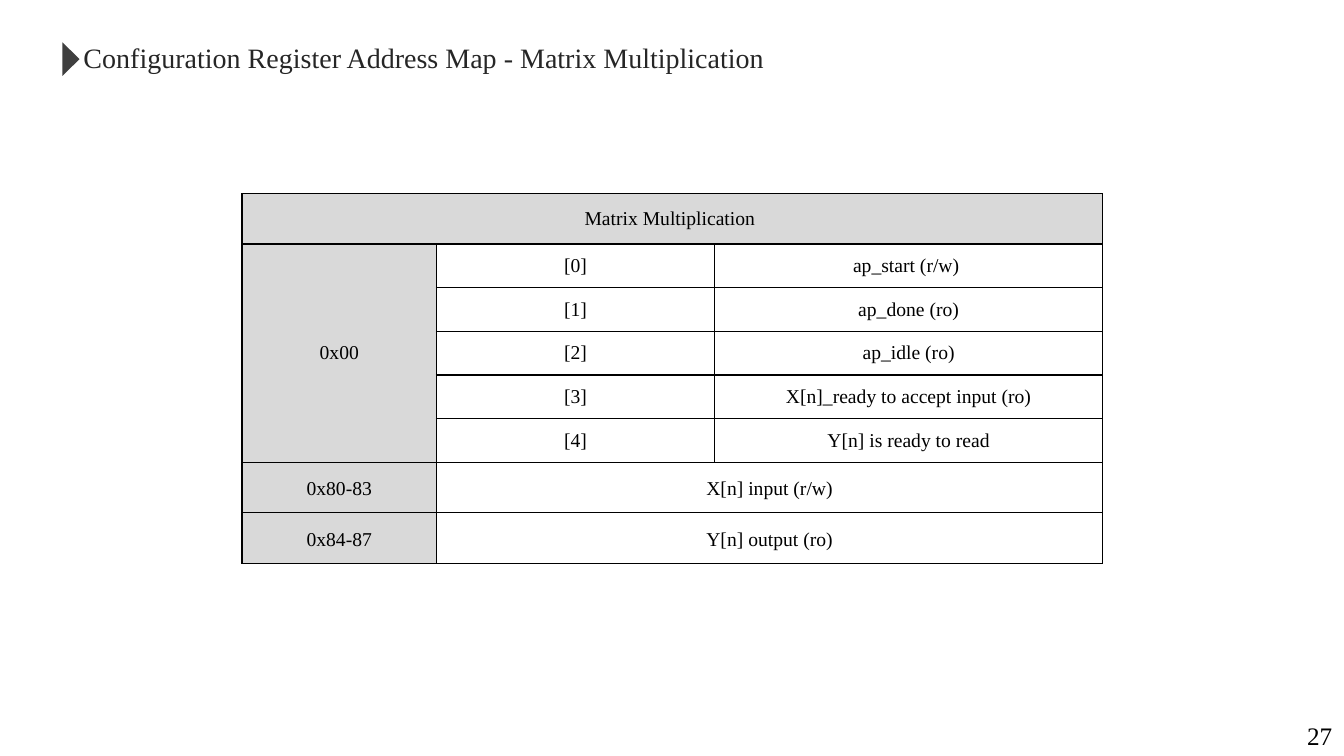
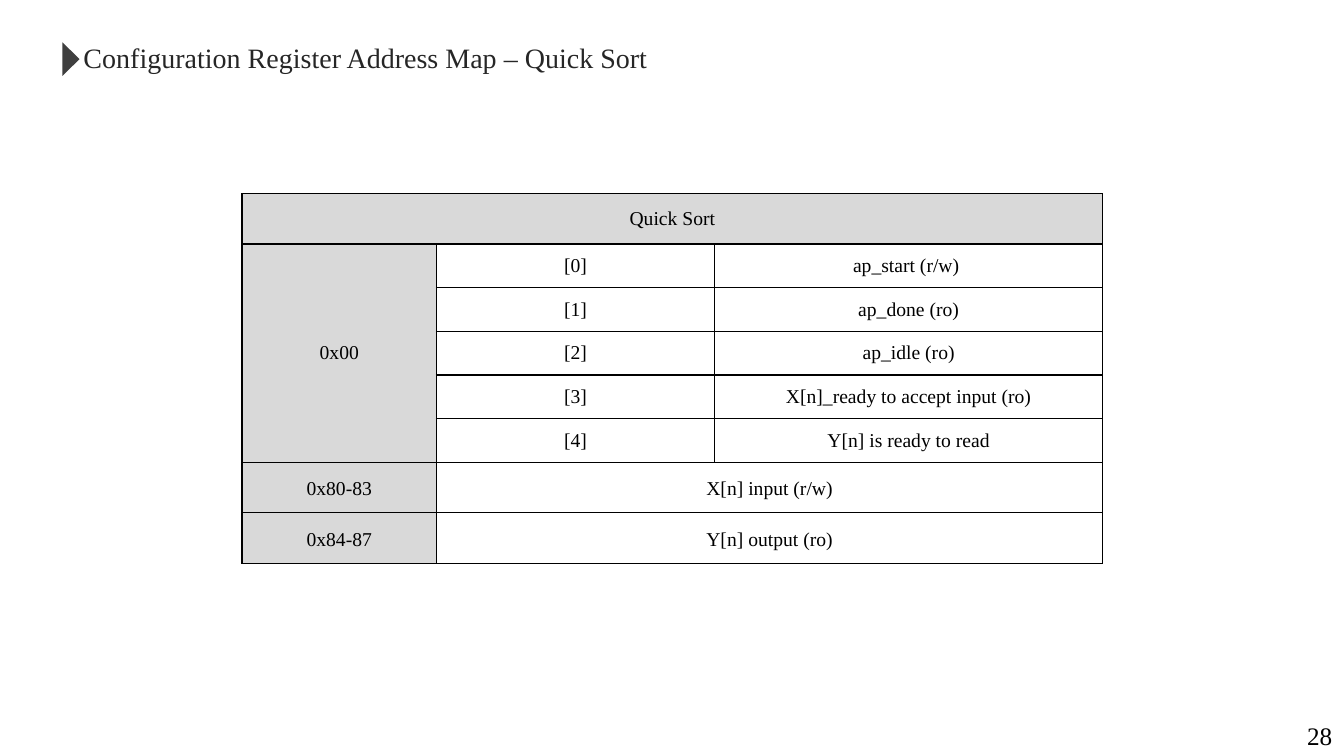
from lxml import etree
from pptx import Presentation
from pptx import util as u
from pptx.dml.color import RGBColor
from pptx.enum import shapes, text
from pptx.oxml.ns import qn

COLORS = {"title": "262626", "marker": "3F3F3F", "ink": "000000", "header": "D9D9D9"}
FONT = "Times New Roman"
TITLE_BOX = (u.Cm(1.85), u.Cm(0.89), u.Cm(18), u.Cm(1.12))
PAGE_BOX = (u.Cm(32.66), u.Cm(18.03), u.Cm(1.2), u.Cm(1.02))
MAP_BOX = (u.Cm(6.1), u.Cm(4.88), u.Cm(21.69), u.Cm(9.31))
COLUMN_WIDTHS = (4.9, 7.01, 9.78)
ROW_HEIGHTS = (1.27,) + (1.1,) * 5 + (1.27,) * 2
CELL_FORMAT = {
    "margin_left": u.Cm(0.18), "margin_right": u.Cm(0.18),
    "margin_top": 0, "margin_bottom": 0,
    "vertical_anchor": text.MSO_ANCHOR.MIDDLE,
}
MERGES = (((0, 0), (0, 2)), ((1, 0), (5, 0)), ((6, 1), (6, 2)), ((7, 1), (7, 2)))
REGISTERS = (
    ("0x00", "[0]", "ap_start (r/w) "),
    ("", "[1]", "ap_done (ro)"),
    ("", "[2]", "ap_idle (ro)"),
    ("", "[3]", "X[n]_ready to accept input (ro)"),
    ("", "[4]", "Y[n] is ready to read"),
    ("0x80-83", "X[n] input (r/w)", ""),
    ("0x84-87", "Y[n] output (ro)", ""),
)
SLIDES = (
    ("Configuration Register Address Map - Matrix Multiplication",
     "Matrix Multiplication ", 27),
    ("Configuration Register Address Map – Quick Sort", "Quick Sort", 28),
)


def apply_format(target, values):
    """Set each named attribute on the target."""
    for name, value in values.items():
        setattr(target, name, value)


def write(paragraph, words, size, color, align):
    """Fill a paragraph with styled words."""
    paragraph.text = words
    paragraph.alignment = align
    apply_format(paragraph.font, {"name": FONT, "size": u.Pt(size)})
    paragraph.font.color.rgb = RGBColor.from_string(COLORS[color])


def add_heading(slide, box, words):
    """Place the title with its pointer at the left edge."""
    left, top, width, height = box
    title = slide.shapes.title
    apply_format(title, {"left": left, "top": top, "width": width, "height": height})
    apply_format(title.text_frame, {"word_wrap": True,
                                    "auto_size": text.MSO_AUTO_SIZE.NONE,
                                    "vertical_anchor": text.MSO_ANCHOR.MIDDLE})
    write(title.text_frame.paragraphs[0], words, 20, "title", text.PP_ALIGN.LEFT)
    base, depth = u.Cm(0.84), u.Cm(0.43)
    pointer = slide.shapes.add_shape(
        shapes.MSO_SHAPE.ISOSCELES_TRIANGLE,
        left - u.Cm(0.48), top + height // 2 + u.Cm(0.04) - depth // 2, base, depth)
    pointer.rotation = 90
    pointer.shadow.inherit = False
    pointer.fill.solid()
    pointer.fill.fore_color.rgb = RGBColor.from_string(COLORS["marker"])
    pointer.line.fill.background()


def add_page_number(slide, box, number):
    """Place the page number in its corner box."""
    frame = slide.shapes.add_textbox(*box).text_frame
    frame.word_wrap = True
    write(frame.paragraphs[0], str(number), 18, "ink", text.PP_ALIGN.CENTER)


def add_borders(cell):
    """Draw a thin line on all four sides of a cell."""
    properties = cell._tc.get_or_add_tcPr()
    for side in ("a:lnL", "a:lnR", "a:lnT", "a:lnB"):
        line = etree.SubElement(properties, qn(side), w=str(u.Pt(1)))
        fill = etree.SubElement(line, qn("a:solidFill"))
        etree.SubElement(fill, qn("a:srgbClr"), val=COLORS["ink"])


def add_register_map(slide, box, heading):
    """Place the address table under its heading row."""
    rows = ((heading, "", ""),) + REGISTERS
    table = slide.shapes.add_table(len(rows), len(COLUMN_WIDTHS), *box).table
    apply_format(table, {"first_row": False, "horz_banding": False})
    for column, width in zip(table.columns, COLUMN_WIDTHS):
        column.width = u.Cm(width)
    for r, (row, height) in enumerate(zip(rows, ROW_HEIGHTS)):
        table.rows[r].height = u.Cm(height)
        for c, words in enumerate(row):
            cell = table.cell(r, c)
            apply_format(cell, CELL_FORMAT)
            paragraph = cell.text_frame.paragraphs[0]
            write(paragraph, words, 14, "ink", text.PP_ALIGN.CENTER)
            if r > 5:
                paragraph.line_spacing = u.Pt(18)
            add_borders(cell)
            if r == 0 or c == 0:
                cell.fill.solid()
                cell.fill.fore_color.rgb = RGBColor.from_string(COLORS["header"])
            else:
                cell.fill.background()
    for first, last in MERGES:
        table.cell(*first).merge(table.cell(*last))


def main():
    """Build the register map slides and save them."""
    deck = Presentation()
    apply_format(deck, {"slide_width": u.Cm(33.87), "slide_height": u.Cm(19.05)})
    title_only = deck.slide_layouts[5]
    for title, heading, number in SLIDES:
        slide = deck.slides.add_slide(title_only)
        add_heading(slide, TITLE_BOX, title)
        add_page_number(slide, PAGE_BOX, number)
        add_register_map(slide, MAP_BOX, heading)
    deck.save("out.pptx")


if __name__ == "__main__":
    main()
